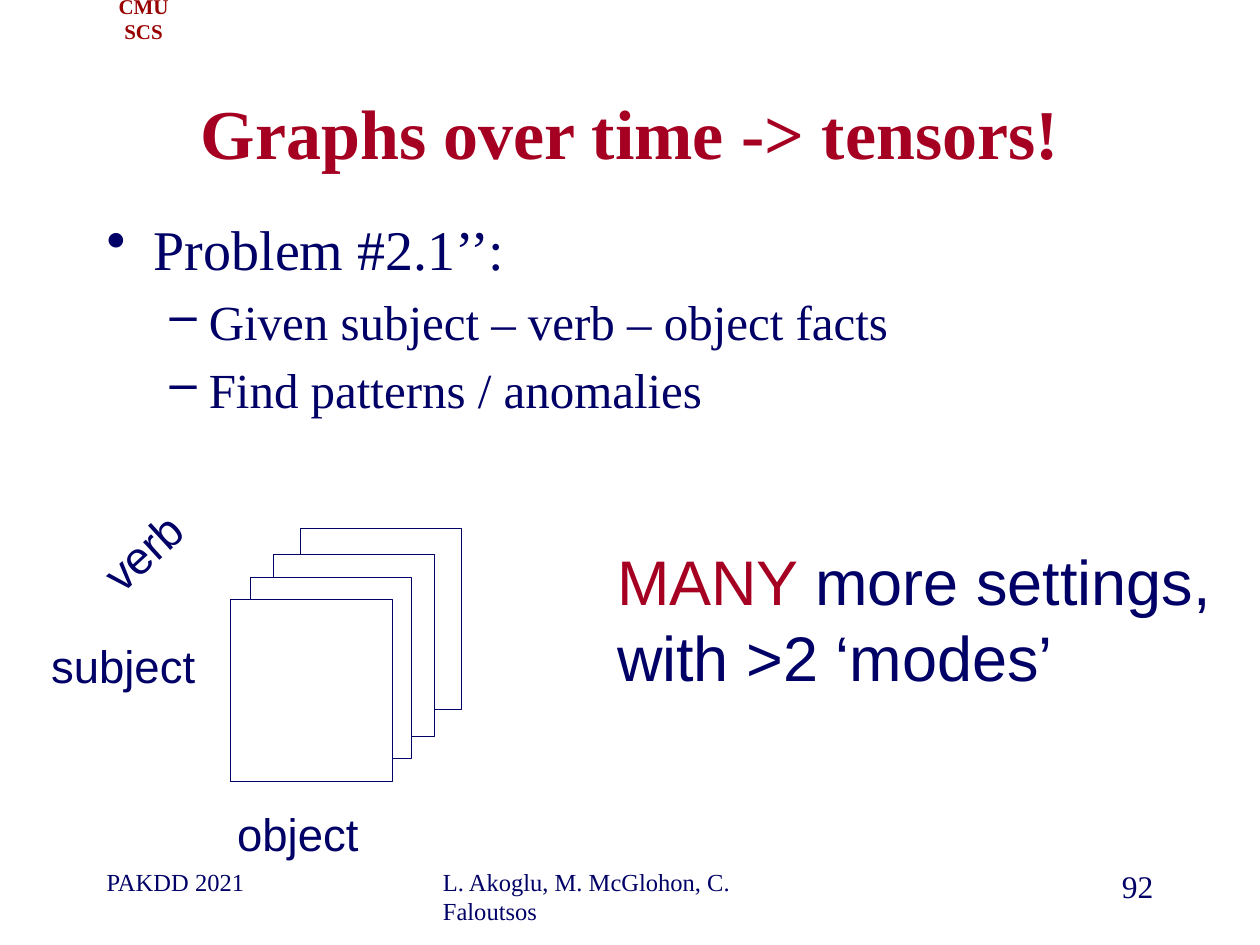
from dataclasses import dataclass

from lxml import etree
from pptx import Presentation
from pptx.dml.color import RGBColor
from pptx.enum.shapes import MSO_SHAPE
from pptx.enum.text import MSO_ANCHOR, PP_ALIGN
from pptx.oxml.ns import qn
from pptx.util import Cm, Pt

LEFT, CENTER, RIGHT, JUSTIFY = PP_ALIGN.LEFT, PP_ALIGN.CENTER, PP_ALIGN.RIGHT, PP_ALIGN.JUSTIFY
TOP, MIDDLE = MSO_ANCHOR.TOP, MSO_ANCHOR.MIDDLE
RECTANGLE = MSO_SHAPE.RECTANGLE
SERIF, SANS = "Times New Roman", "Arial"
COLORS = {"navy": "000066", "crimson": "A50021", "maroon": "990000", "white": "FFFFFF"}


@dataclass(frozen=True)
class Label:
    text: str
    left: float
    top: float
    width: float
    height: float
    size: float
    font: str = SERIF
    color: str = "navy"
    bold: bool = False
    align: PP_ALIGN = LEFT
    anchor: MSO_ANCHOR = TOP
    wrap: bool = True
    rotation: float = 0


@dataclass(frozen=True)
class Bullet:
    text: str
    mark: str
    level: int
    size: float
    margin: float
    hanging: float
    space_before: float


@dataclass(frozen=True)
class Sheet:
    left: float
    top: float


LABELS = [
    Label("CMU SCS", 1.7, 0, 2.39, 0.76, 12, color="maroon", bold=True,
          align=CENTER, anchor=MIDDLE, wrap=False),
    Label("Graphs over time -> tensors!", 1.9, 1.7, 21.6, 1.9, 40, color="crimson",
          bold=True, align=CENTER, anchor=MIDDLE),
    Label("PAKDD 2021", 1.9, 17.35, 5.3, 1.27, 14),
    Label("L. Akoglu, M. McGlohon, C. Faloutsos", 8.68, 17.35, 8.05, 1.27, 14),
    Label("92", 18.2, 17.35, 5.3, 1.27, 18, align=RIGHT),
    Label("object", 4.52, 16.13, 2.97, 1.37, 26, SANS, align=CENTER, wrap=False),
    Label("subject", 0.76, 12.73, 3.45, 1.37, 26, SANS, align=CENTER, wrap=False),
    Label("verb", 1.7, 10.44, 2.36, 1.37, 26, SANS, align=CENTER, wrap=False, rotation=317.5),
]
BULLETS = [
    Bullet("Problem #2.1’’:", "•", 0, 32, 0.95, 0.95, 0),
    Bullet("Given subject – verb – object facts", "–", 1, 28, 2.06, 0.79, 5.6),
    Bullet("Find patterns / anomalies", "–", 1, 28, 2.06, 0.79, 5.6),
]
SHEETS = [Sheet(6.05, 10.64), Sheet(5.51, 11.18), Sheet(5.05, 11.63), Sheet(4.65, 12.09)]
SHEET_WIDTH, SHEET_HEIGHT = 3.25, 3.66
REMARK = [[("MANY ", "crimson"), ("more settings,", "navy")], [("with >2 ‘modes’", "navy")]]


def rgb(name: str) -> RGBColor:
    """Return the named palette colour."""
    return RGBColor.from_string(COLORS[name])


def set_font(font, name: str, size: float, color: str, bold: bool = False) -> None:
    """Apply typeface, size, colour and weight."""
    font.name, font.size, font.bold = name, Pt(size), bold
    font.color.rgb = rgb(color)


def add_box(page, left: float, top: float, width: float, height: float, wrap: bool = True):
    """Add an empty text box measured in centimetres."""
    box = page.shapes.add_textbox(Cm(left), Cm(top), Cm(width), Cm(height))
    box.text_frame.word_wrap = wrap
    return box


def add_label(page, label: Label) -> None:
    """Add a single-paragraph label."""
    box = add_box(page, label.left, label.top, label.width, label.height, label.wrap)
    box.rotation = label.rotation
    box.text_frame.vertical_anchor = label.anchor
    para = box.text_frame.paragraphs[0]
    para.text, para.alignment = label.text, label.align
    set_font(para.font, label.font, label.size, label.color, label.bold)


def add_bullets(page, bullets: list[Bullet]) -> None:
    """Add the bulleted problem statement."""
    frame = add_box(page, 1.9, 4.19, 21.6, 12.75).text_frame
    for index, bullet in enumerate(bullets):
        para = frame.add_paragraph() if index else frame.paragraphs[0]
        para.text, para.level = bullet.text, bullet.level
        para.space_before = Pt(bullet.space_before)
        properties = para._p.get_or_add_pPr()
        properties.set("marL", str(Cm(bullet.margin)))
        properties.set("indent", str(-Cm(bullet.hanging)))
        etree.SubElement(properties, qn("a:buChar")).set("char", bullet.mark)
        set_font(para.font, SERIF, bullet.size, "navy")


def add_sheet(page, sheet: Sheet) -> None:
    """Add one slice of the tensor."""
    shape = page.shapes.add_shape(RECTANGLE, Cm(sheet.left), Cm(sheet.top),
                                  Cm(SHEET_WIDTH), Cm(SHEET_HEIGHT))
    shape.shadow.inherit = False
    shape.fill.solid()
    shape.fill.fore_color.rgb = rgb("white")
    shape.line.color.rgb = rgb("navy")
    shape.line.width = Pt(0.25)


def add_remark(page, lines: list[list[tuple[str, str]]]) -> None:
    """Add the two-colour remark beside the tensor."""
    frame = add_box(page, 12.19, 10.82, 12.65, 3.33, wrap=False).text_frame
    for index, line in enumerate(lines):
        para = frame.add_paragraph() if index else frame.paragraphs[0]
        para.alignment = JUSTIFY
        para.font.name, para.font.size = SANS, Pt(36)
        for text, color in line:
            span = para.add_run()
            span.text = text
            span.font.color.rgb = rgb(color)


def main() -> None:
    """Build and save the slide."""
    deck = Presentation()
    deck.slide_width, deck.slide_height = Cm(25.4), Cm(19.05)
    page = deck.slides.add_slide(deck.slide_layouts[6])
    for label in LABELS:
        add_label(page, label)
    add_bullets(page, BULLETS)
    for sheet in SHEETS:
        add_sheet(page, sheet)
    add_remark(page, REMARK)
    deck.save("out.pptx")


if __name__ == "__main__":
    main()
